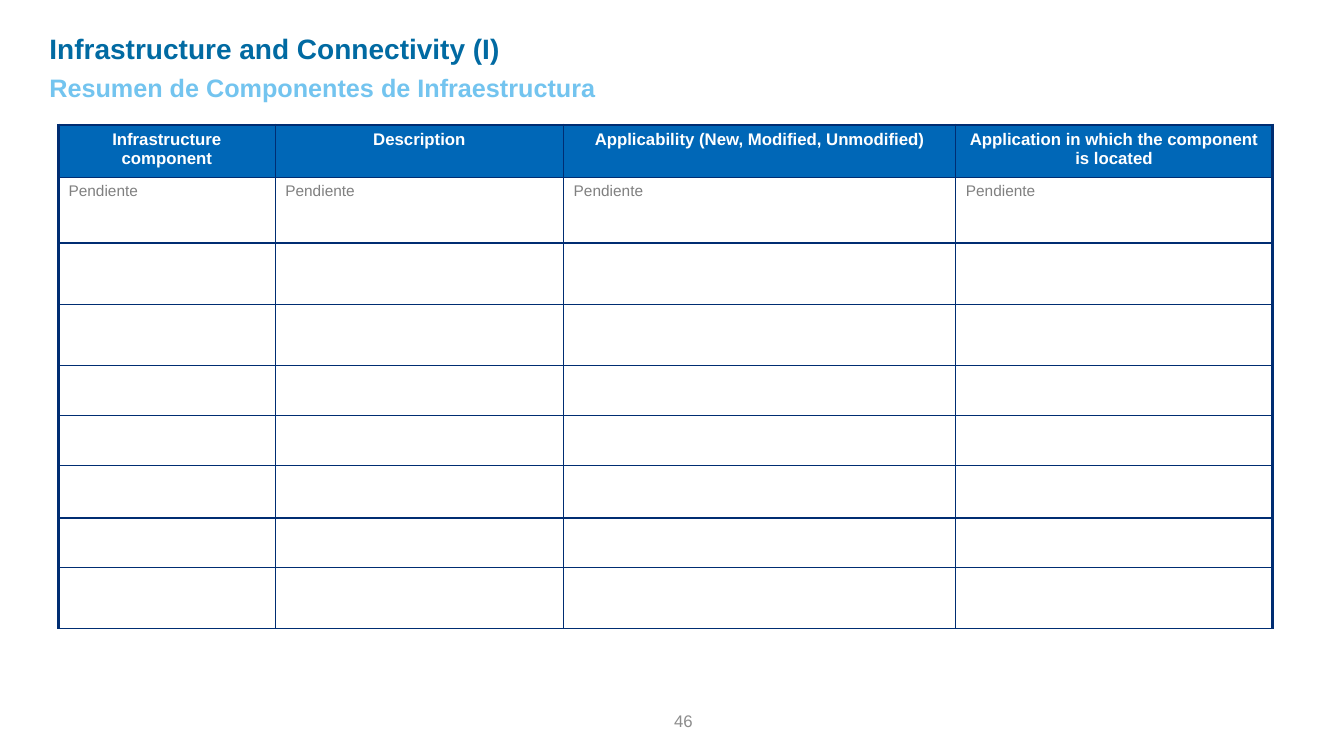
from dataclasses import dataclass
from lxml.etree import SubElement
from pptx import Presentation
from pptx.dml.color import RGBColor
from pptx.enum.text import MSO_ANCHOR as Anchor, MSO_AUTO_SIZE as Fit, PP_ALIGN as Align
from pptx.oxml.ns import qn
from pptx.util import Inches, Pt


@dataclass(frozen=True)
class Theme:
    font: str = "Arial"
    title: str = "016AA2"
    sub: str = "73C4EF"
    head: str = "0067B7"
    white: str = "FFFFFF"
    body: str = "808080"
    page: str = "8C8C8C"
    line: str = "002D72"
    title_size: int = 20
    sub_size: int = 18
    head_size: int = 12
    body_size: int = 11
    thin: float = 1
    thick: float = 2.25


THEME = Theme()
COLS = [2.15, 2.86, 3.89, 3.14]
ROWS = [0.52, 0.65, 0.61, 0.61, 0.49, 0.5, 0.52, 0.49, 0.61]
HEADS = [
    "Infrastructure component",
    "Description",
    "Applicability (New, Modified, Unmodified)",
    "Application in which the component is located",
]


def put_text(frame, text, *, size, color, bold=False, align=Align.LEFT):
    frame.word_wrap = True
    para = frame.paragraphs[0]
    para.alignment = align
    para.space_before = Pt(0)
    run = para.add_run()
    run.text = text
    font = run.font
    font.name = THEME.font
    font.size = Pt(size)
    font.bold = bold
    font.color.rgb = RGBColor.from_string(color)


def set_frame(shape, inset, anchor=Anchor.TOP):
    frame = shape.text_frame
    frame.auto_size = Fit.NONE
    frame.vertical_anchor = anchor
    frame.margin_left = frame.margin_right = Inches(inset)
    frame.margin_top = frame.margin_bottom = Inches(0.05)
    return frame


def add_title(slide, text):
    title = slide.shapes.title
    title.left, title.top = Inches(0.44), Inches(0.26)
    title.width, title.height = Inches(8.3), Inches(0.44)
    frame = set_frame(title, 0.05)
    put_text(frame, text, size=THEME.title_size, color=THEME.title, bold=True)


def add_text(slide, text, box, inset, anchor=Anchor.TOP, **style):
    shape = slide.shapes.add_textbox(*map(Inches, box))
    put_text(set_frame(shape, inset, anchor), text, **style)


def set_edge(cell, side, width):
    props = cell._tc.get_or_add_tcPr()
    line = SubElement(props, qn(f"a:ln{side}"), w=str(Pt(width)))
    fill = SubElement(line, qn("a:solidFill"))
    SubElement(fill, qn("a:srgbClr"), val=THEME.line)


def style_cell(cell, row, col):
    outer = {"L": col == 0, "R": col == len(COLS) - 1, "T": row == 0, "B": False}
    for side, thick in outer.items():
        set_edge(cell, side, THEME.thick if thick else THEME.thin)
    if row == 0:
        cell.fill.solid()
        cell.fill.fore_color.rgb = RGBColor.from_string(THEME.head)
    else:
        cell.fill.background()


def add_grid(slide):
    box = map(Inches, (0.58, 1.24, sum(COLS), sum(ROWS)))
    table = slide.shapes.add_table(len(ROWS), len(COLS), *box).table
    table.first_row = table.horz_banding = False
    for col, width in zip(table.columns, COLS):
        col.width = Inches(width)
    for row, height in zip(table.rows, ROWS):
        row.height = Inches(height)
    for row in range(len(ROWS)):
        for col in range(len(COLS)):
            style_cell(table.cell(row, col), row, col)
    for col, head in enumerate(HEADS):
        put_text(table.cell(0, col).text_frame, head, size=THEME.head_size,
                 color=THEME.white, bold=True, align=Align.CENTER)
        put_text(table.cell(1, col).text_frame, "Pendiente",
                 size=THEME.body_size, color=THEME.body)


def main():
    deck = Presentation()
    deck.slide_width, deck.slide_height = Inches(13.33), Inches(7.5)
    slide = deck.slides.add_slide(deck.slide_layouts.get_by_name("Title Only"))
    add_title(slide, "Infrastructure and Connectivity (I)")
    add_text(slide, "Resumen de Componentes de Infraestructura",
             (0.44, 0.67, 5.84, 0.4), 0.05,
             size=THEME.sub_size, color=THEME.sub, bold=True)
    add_grid(slide)
    add_text(slide, "46", (3.34, 6.95, 3.63, 0.4), 0.1, Anchor.MIDDLE,
             size=THEME.head_size, color=THEME.page, align=Align.RIGHT)
    deck.save("out.pptx")


if __name__ == "__main__":
    main()
